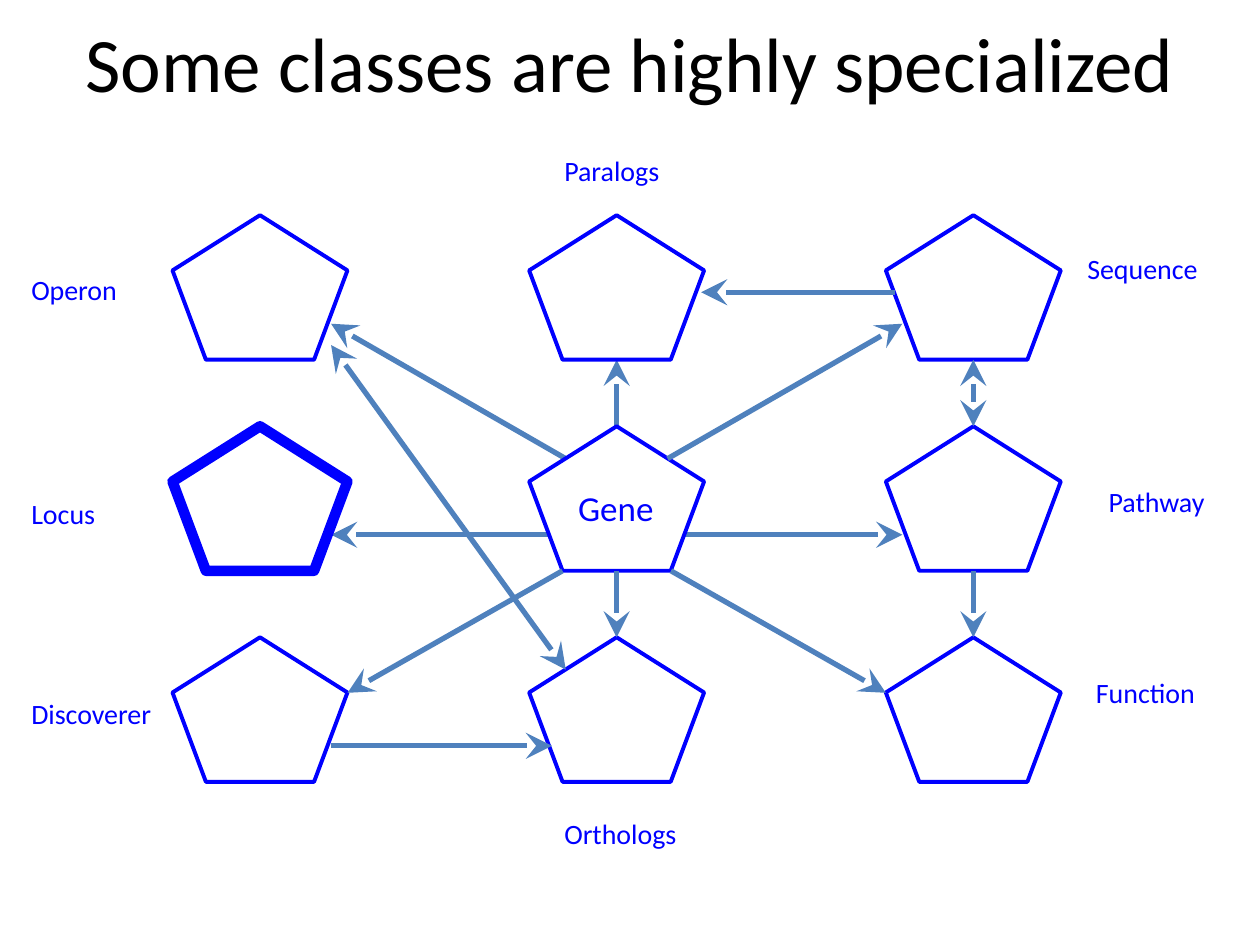
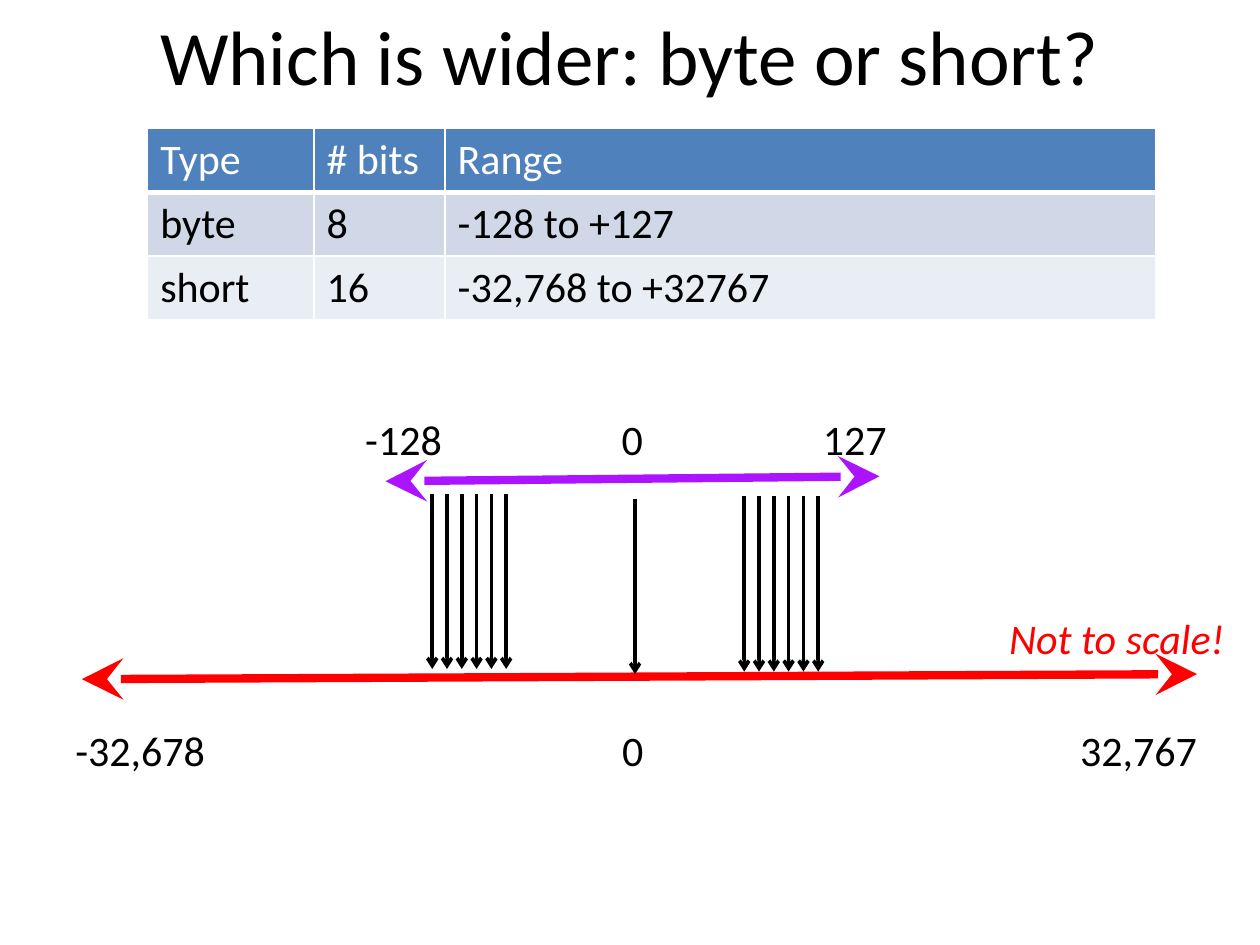
from dataclasses import dataclass

from lxml import etree
from pptx import Presentation
from pptx.dml.color import RGBColor
from pptx.enum.shapes import MSO_CONNECTOR, MSO_SHAPE
from pptx.enum.text import MSO_ANCHOR, MSO_AUTO_SIZE, PP_ALIGN
from pptx.oxml.ns import qn
from pptx.util import Pt

STRAIGHT = MSO_CONNECTOR.STRAIGHT
PENTAGON = MSO_SHAPE.REGULAR_PENTAGON
MIDDLE = MSO_ANCHOR.MIDDLE
FIT_TEXT = MSO_AUTO_SIZE.SHAPE_TO_FIT_TEXT
LEFT, CENTER = PP_ALIGN.LEFT, PP_ALIGN.CENTER
TITLE_ONLY = 5


@dataclass(frozen=True)
class Theme:
    font: str = "Calibri"
    black: str = "000000"
    white: str = "FFFFFF"
    blue: str = "0000FF"
    steel: str = "4F81BD"
    band_dark: str = "D0D8E8"
    band_light: str = "E9EDF4"
    purple: str = "AC13FF"
    red: str = "FF0000"
    title_size: float = 44
    body_size: float = 24
    gene_size: float = 20
    label_size: float = 16


THEME = Theme()

CLASS_SIZE = (100, 82.6)
CLASS_COLUMNS = [98.6 + 203.8 * i for i in range(3)]
CLASS_ROWS = [123 + 120.6 * i for i in range(3)]
CLASS_GRID = [
    ["Operon", "Paralogs", "Sequence"],
    ["Locus", "Gene", "Pathway"],
    ["Discoverer", "Orthologs", "Function"],
]
CLASS_ORIGINS = {
    name: (CLASS_COLUMNS[column], CLASS_ROWS[row])
    for row, names in enumerate(CLASS_GRID)
    for column, name in enumerate(names)
}
ANCHORS = {
    "top": (50, 0),
    "bottom": (50, 82.6),
    "left corner": (0, 31.7),
    "right corner": (100, 31.7),
    "left foot": (19, 82.6),
    "right foot": (81, 82.6),
    "left shoulder": (20.9, 18.5),
    "right shoulder": (79.1, 18.5),
    "left flank": (9.4, 62),
    "right flank": (90.6, 62),
    "left inside": (13, 62),
    "right inside": (69, 62),
    "left side": (5, 44),
    "right side": (98.3, 44),
    "right shin": (90.6, 74.2),
}
LINKS_BEHIND = [
    ("Gene", "left inside", "Locus", "right flank"),
    ("Gene", "right inside", "Pathway", "left flank"),
    ("Gene", "left shoulder", "Operon", "right flank"),
    ("Gene", "top", "Paralogs", "bottom"),
]
LINKS_IN_FRONT = [
    ("Gene", "right shoulder", "Sequence", "left flank"),
    ("Gene", "left foot", "Discoverer", "right corner"),
    ("Gene", "right foot", "Function", "left corner"),
    ("Gene", "bottom", "Orthologs", "top"),
    ("Sequence", "left side", "Paralogs", "right side"),
    ("Pathway", "bottom", "Function", "top"),
    ("Discoverer", "right flank", "Orthologs", "left inside"),
]
MUTUAL_LINKS = [
    ("Sequence", "bottom", "Pathway", "top"),
    ("Orthologs", "left shoulder", "Operon", "right shin"),
]
CLASS_LABELS = [
    ("Sequence", 614.2, 140.4, 78.5),
    ("Pathway", 626.4, 273.6, 71.3),
    ("Function", 619.2, 382.3, 72),
    ("Paralogs", 315.4, 84.2, 69.8),
    ("Orthologs", 315.4, 463, 79.2),
    ("Operon", 10.8, 152, 64),
    ("Locus", 10.8, 280, 51.8),
    ("Discoverer", 10.8, 394.6, 84.2),
]

TYPE_RANGES = [
    ("Type", "# bits", "Range"),
    ("byte", "8", "-128 to +127"),
    ("short", "16", "-32,768 to +32767"),
]


def color(value):
    return RGBColor.from_string(value)


def write_text(frame, text, size=THEME.body_size, fill=THEME.black,
               italic=False, align=LEFT, tabs=()):
    paragraph = frame.paragraphs[0]
    paragraph.alignment = align
    if tabs:
        tab_list = etree.SubElement(paragraph._p.get_or_add_pPr(), qn("a:tabLst"))
        for position, kind in tabs:
            etree.SubElement(tab_list, qn("a:tab"), pos=str(Pt(position)), algn=kind)
    run = paragraph.add_run()
    run.text = text
    font = run.font
    font.name, font.size = THEME.font, Pt(size)
    font.bold, font.italic = False, italic
    font.color.rgb = color(fill)


def add_label(slide, text, left, top, width, height, wrap=False, **text_format):
    frame = slide.shapes.add_textbox(
        Pt(left), Pt(top), Pt(width), Pt(height)).text_frame
    frame.word_wrap = wrap
    frame.auto_size = FIT_TEXT
    write_text(frame, text, **text_format)


def add_titled_slide(deck, text, top, height):
    slide = deck.slides.add_slide(deck.slide_layouts[TITLE_ONLY])
    title = slide.shapes.title
    title.left, title.top = Pt(36), Pt(top)
    title.width, title.height = Pt(648), Pt(height)
    title.text_frame.vertical_anchor = MIDDLE
    write_text(title.text_frame, text, size=THEME.title_size, align=CENTER)
    return slide


def add_arrow(slide, start, end, fill, weight, tip="stealth", tip_size="lg",
              both_ends=False):
    arrow = slide.shapes.add_connector(
        STRAIGHT, *(Pt(value) for value in (*start, *end)))
    arrow.line.color.rgb = color(fill)
    arrow.line.width = Pt(weight)
    outline = arrow.line._get_or_add_ln()
    for tag in ["a:headEnd", "a:tailEnd"] if both_ends else ["a:tailEnd"]:
        etree.SubElement(outline, qn(tag), type=tip, w=tip_size, len=tip_size)
    etree.SubElement(arrow._element.spPr, qn("a:effectLst"))


def anchor_point(name, anchor):
    return tuple(a + b for a, b in zip(CLASS_ORIGINS[name], ANCHORS[anchor]))


def add_links(slide, links, both_ends=False):
    for source, source_anchor, target, target_anchor in links:
        add_arrow(slide, anchor_point(source, source_anchor),
                  anchor_point(target, target_anchor),
                  THEME.steel, 3, both_ends=both_ends)


def add_class(slide, name):
    pentagon = slide.shapes.add_shape(
        PENTAGON, *(Pt(value) for value in (*CLASS_ORIGINS[name], *CLASS_SIZE)))
    pentagon.shadow.inherit = False
    if name == "Gene":
        pentagon.fill.solid()
        pentagon.fill.fore_color.rgb = color(THEME.white)
    else:
        pentagon.fill.background()
    pentagon.line.color.rgb = color(THEME.blue)
    pentagon.line.width = Pt(6 if name == "Locus" else 2.25)


def set_cell_borders(cell, bottom):
    properties = cell._tc.get_or_add_tcPr()
    weights = {"a:lnL": 1, "a:lnR": 1, "a:lnT": 1, "a:lnB": bottom}
    for index, (tag, weight) in enumerate(weights.items()):
        border = etree.Element(qn(tag), w=str(Pt(weight)))
        fill = etree.SubElement(border, qn("a:solidFill"))
        etree.SubElement(fill, qn("a:srgbClr"), val=THEME.white)
        properties.insert(index, border)


def add_range_table(slide):
    widths, row_height = (95, 75, 406), 36.5
    table = slide.shapes.add_table(
        len(TYPE_RANGES), len(widths), Pt(84.4), Pt(73.4),
        Pt(sum(widths)), Pt(row_height * len(TYPE_RANGES))).table
    for column, width in zip(table.columns, widths):
        column.width = Pt(width)
    bands = (THEME.steel, THEME.band_dark, THEME.band_light)
    for row, (values, band) in enumerate(zip(TYPE_RANGES, bands)):
        for column, value in enumerate(values):
            cell = table.cell(row, column)
            cell.fill.solid()
            cell.fill.fore_color.rgb = color(band)
            set_cell_borders(cell, bottom=1 if row else 3)
            write_text(cell.text_frame, value,
                       fill=THEME.black if row else THEME.white)


def add_mapping_arrow(slide, x, top, bottom):
    add_arrow(slide, (x, top), (x, bottom), THEME.black, 2,
              tip="arrow", tip_size="med")


def add_mapping_group(slide, first_x, top):
    for i in range(6):
        add_mapping_arrow(slide, first_x + 8.45 * i, top, top + 100.1)


def build_classes_slide(deck):
    slide = add_titled_slide(deck, "Some classes are highly specialized", 0, 70)
    add_links(slide, LINKS_BEHIND)
    for name in CLASS_ORIGINS:
        add_class(slide, name)
    add_links(slide, LINKS_IN_FRONT)
    add_links(slide, MUTUAL_LINKS, both_ends=True)
    add_label(slide, "Gene", 323.3, 274.3, 58.3, 31.5,
              size=THEME.gene_size, fill=THEME.blue)
    for name, left, top, width in CLASS_LABELS:
        add_label(slide, name, left, top, width, 26.6,
                  size=THEME.label_size, fill=THEME.blue)


def build_ranges_slide(deck):
    slide = add_titled_slide(deck, "Which is wider: byte or short?", -13.7, 90)
    add_range_table(slide)
    add_arrow(slide, (220.3, 275), (502.6, 272.2), THEME.purple, 4.75,
              both_ends=True)
    add_arrow(slide, (46.8, 388.1), (684, 385.2), THEME.red, 4.75,
              both_ends=True)
    add_label(slide, "-128\t0\t127", 201.6, 232.6, 322, 36, wrap=True,
              tabs=[(152.6, "ctr"), (298, "r")])
    add_label(slide, "-32,678\t0\t32,767", 36, 410.4, 679, 36, wrap=True,
              tabs=[(318.5, "ctr"), (641, "r")])
    add_mapping_arrow(slide, 362.9, 285.1, 385.2)
    add_mapping_group(slide, 247, 282.2)
    add_mapping_group(slide, 425.3, 283.7)
    add_label(slide, "Not to scale!", 569.5, 346.3, 145.4, 36,
              fill=THEME.red, italic=True)


def main():
    deck = Presentation()
    deck.slide_width, deck.slide_height = Pt(720), Pt(540)
    build_classes_slide(deck)
    build_ranges_slide(deck)
    deck.save("out.pptx")


if __name__ == "__main__":
    main()
